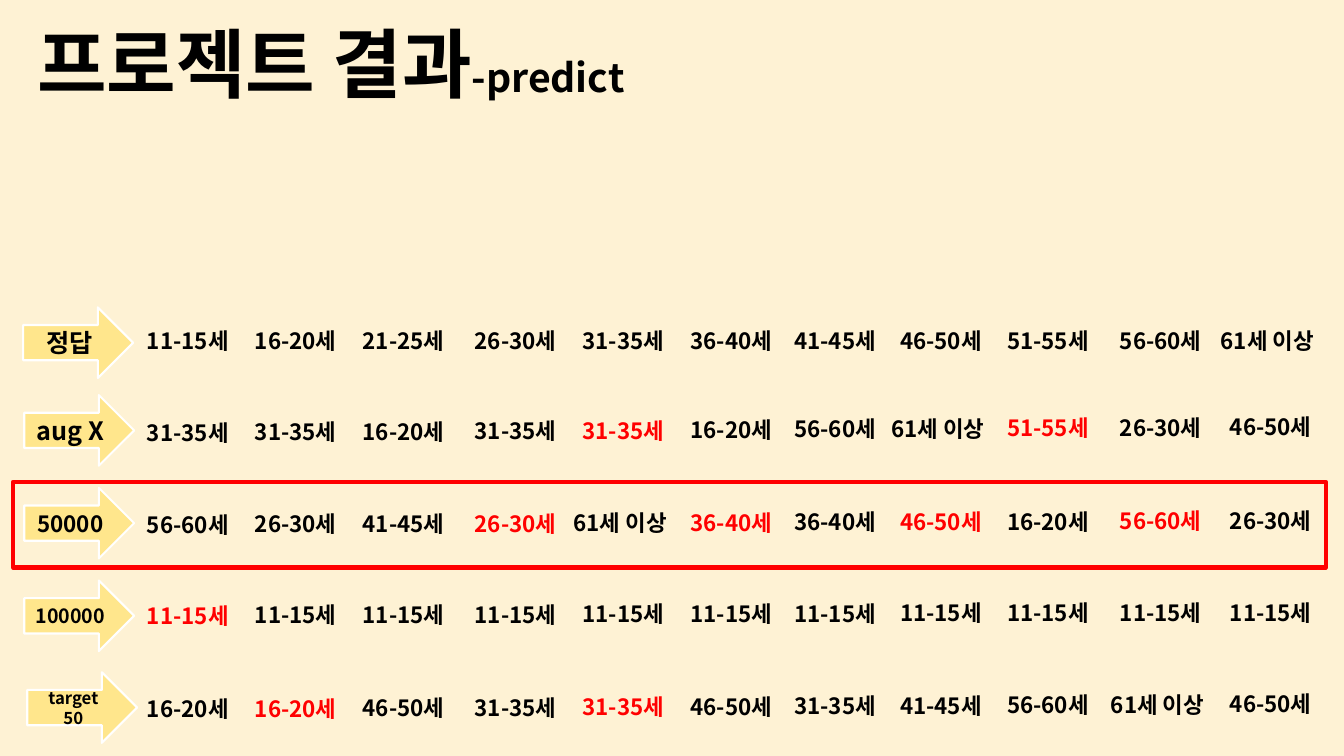
import pptx
import pptx.util
import pptx.dml.color
import pptx.enum.shapes
import pptx.enum.text
from lxml import etree
from pptx.util import Inches, Pt

HUES = {"page": "FEF2D4", "arrow": "FFE68C", "edge": "FFFFFF",
        "text": "000000", "hit": "FF0000"}
TITLE_FONT = "Noto Sans CJK JP"
FONT = "Noto Sans CJK KR"
KINDS = pptx.enum.shapes.MSO_SHAPE


def hue(name):
    return pptx.dml.color.RGBColor.from_string(HUES[name])


def write(para, text, size, face=FONT, color="text"):
    """Add a bold run with the face set for Latin and Korean text."""
    run = para.add_run()
    run.text = text
    form = {"size": Pt(size), "bold": True, "name": face}
    for key, value in form.items():
        setattr(run.font, key, value)
    run.font.color.rgb = hue(color)
    east = etree.SubElement(run.font._element, pptx.oxml.ns.qn("a:ea"))
    east.set("typeface", face)


deck = pptx.Presentation()
deck.slide_width, deck.slide_height = Inches(13.33), Inches(7.5)
slide = deck.slides.add_slide(deck.slide_layouts[6])
slide.background.fill.solid()
slide.background.fill.fore_color.rgb = hue("page")
shapes = slide.shapes

FRAME = {"word_wrap": True,
         "auto_size": pptx.enum.text.MSO_AUTO_SIZE.SHAPE_TO_FIT_TEXT}

title = shapes.add_textbox(Inches(0.27), Inches(0.12), Inches(9.03), Inches(1.01))
for key, value in FRAME.items():
    setattr(title.text_frame, key, value)
para = title.text_frame.paragraphs[0]
write(para, "프로젝트 결과", 54, TITLE_FONT)
write(para, "-predict", 28, TITLE_FONT)

# Age ranges: the first row holds the answers, the others the predictions
OVER = "61세 이상"
ANSWERS = ["11-15세", "16-20세", "21-25세", "26-30세", "31-35세", "36-40세",
           "41-45세", "46-50세", "51-55세", "56-60세", OVER]
AUG = ["31-35세", "31-35세", "16-20세", "31-35세", "31-35세", "16-20세",
       "56-60세", OVER, "51-55세", "26-30세", "46-50세"]
MID = ["56-60세", "26-30세", "41-45세", "26-30세", OVER, "36-40세",
       "36-40세", "46-50세", "16-20세", "56-60세", "26-30세"]
LARGE = ["11-15세"] * 11
TARGET = ["16-20세", "16-20세", "46-50세", "31-35세", "31-35세", "46-50세",
          "31-35세", "41-45세", "56-60세", OVER, "46-50세"]

# label, label size, arrow left, arrow top, first text top, rise to the last, ages
ROWS = [
    ("정답", 18, 0.23, 3.05, 3.2, 0, ANSWERS),
    ("aug X", 18, 0.24, 3.92, 4.11, 0.06, AUG),
    ("50000", 16, 0.24, 4.84, 5.02, 0.04, MID),
    ("100000", 14, 0.24, 5.76, 5.92, 0.03, LARGE),
    ("target 50", 12, 0.27, 6.67, 6.85, 0.05, TARGET),
]
LEFTS = [1.36, 2.43, 3.5, 4.61, 5.68, 6.75, 7.78, 8.83, 9.89, 11.01, 12.1]
WIDTH, WIDE = 1.03, 1.21

for label, size, left, top, first, rise, ages in ROWS:
    arrow = shapes.add_shape(KINDS.RIGHT_ARROW, Inches(left), Inches(top),
                             Inches(1.09), Inches(0.7))
    arrow.shadow.inherit = False
    arrow.fill.solid()
    arrow.fill.fore_color.rgb = hue("arrow")
    arrow.line.color.rgb = hue("edge")
    arrow.line.width = Pt(1.5)
    arrow.text_frame.vertical_anchor = pptx.enum.text.MSO_ANCHOR.MIDDLE
    para = arrow.text_frame.paragraphs[0]
    para.alignment = pptx.enum.text.PP_ALIGN.CENTER
    write(para, label, size)

    for col, (x, age, answer) in enumerate(zip(LEFTS, ages, ANSWERS)):
        width = WIDE if age == OVER else WIDTH
        box = shapes.add_textbox(Inches(x - (width - WIDTH) / 2),
                                 Inches(first - rise * col / 10),
                                 Inches(width), Inches(0.37))
        for key, value in FRAME.items():
            setattr(box.text_frame, key, value)
        right = ages is not ANSWERS and age == answer
        write(box.text_frame.paragraphs[0], age, 16,
              color="hit" if right else "text")

best = shapes.add_shape(KINDS.RECTANGLE, Inches(0.13), Inches(4.78),
                        Inches(13.02), Inches(0.85))
best.shadow.inherit = False
best.fill.background()
best.line.color.rgb = hue("hit")
best.line.width = Pt(3)

deck.save("out.pptx")
